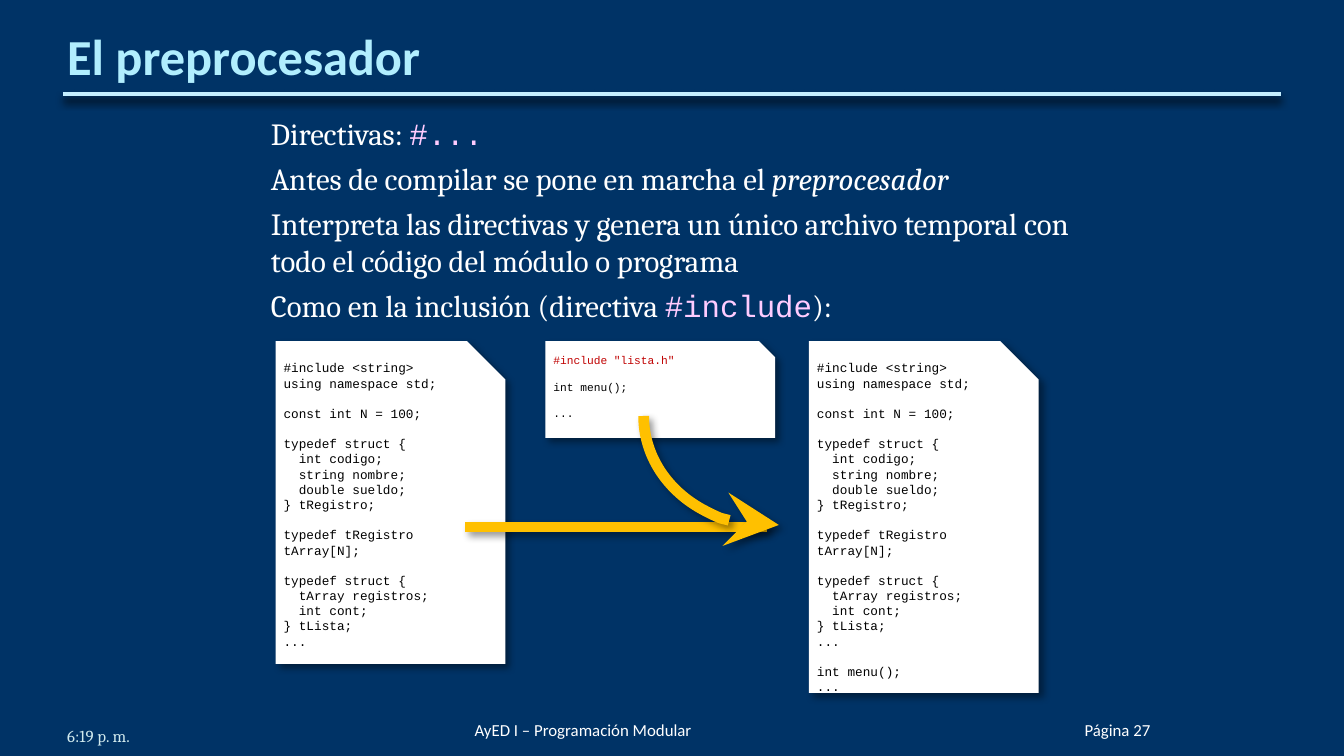
import pptx
import pptx.util
import pptx.dml.color
import pptx.enum.shapes
import pptx.enum.text
import pptx.oxml
import pptx.oxml.ns

Cm, Pt = pptx.util.Cm, pptx.util.Pt
SHAPE = pptx.enum.shapes.MSO_SHAPE
ALIGN = pptx.enum.text.PP_ALIGN
ANCHOR = pptx.enum.text.MSO_ANCHOR

HUES = {
    "back": "003366", "rule": "C4EEFF", "title": "B1EEFE", "text": "FFFFFF",
    "code": "FFCCFF", "paper": "FFFFFF", "ink": "000000", "red": "C00000",
    "arrow": "FFC000", "time": "D0E9ED", "shade": "000000",
}

LIST = """#include <string>
using namespace std;

const int N = 100;

typedef struct {
  int codigo;
  string nombre;
  double sueldo;
} tRegistro;

typedef tRegistro tArray[N];

typedef struct {
  tArray registros;
  int cont;
} tLista;
..."""
MENU = """int menu();
..."""
MAIN = """#include "lista.h"

int menu();

..."""

BODY = [
    [("Directivas: ", "text"), ("#...", "code")],
    [("Antes de compilar se pone en marcha el ", "text"), ("preprocesador", "italic")],
    [("Interpreta las directivas y genera un único archivo temporal con "
      "todo el código del módulo o programa", "text")],
    [("Como en la inclusión (directiva ", "text"), ("#include", "code"), ("):", "text")],
]


def hue(name):
    """Return the named colour."""
    return pptx.dml.color.RGBColor.from_string(HUES[name])


def style(font, face, size, name):
    """Set face, size and colour of a font."""
    font.name, font.size = face, Pt(size)
    font.color.rgb = hue(name)


def shade(item, alpha=40, blur=4, turn=45):
    """Give a finished shape or line an outer shadow."""
    item._element.spPr.append(pptx.oxml.parse_xml(
        f'<a:effectLst {pptx.oxml.ns.nsdecls("a")}>'
        f'<a:outerShdw blurRad="{Pt(blur)}" dist="{Pt(3)}" dir="{turn * 60000}" '
        f'algn="tl" rotWithShape="0"><a:srgbClr val="{HUES["shade"]}">'
        f'<a:alpha val="{alpha * 1000}"/></a:srgbClr></a:outerShdw></a:effectLst>'))


def inset(frame, side, top, foot):
    """Set wrapping and the margins of a text frame."""
    frame.word_wrap = True
    frame.margin_left = frame.margin_right = Cm(side)
    frame.margin_top, frame.margin_bottom = Cm(top), Cm(foot)


def rule(slide, x, y, end, name, width):
    """Draw a level line and return it."""
    line = slide.shapes.add_connector(
        pptx.enum.shapes.MSO_CONNECTOR.STRAIGHT, Cm(x), Cm(y), Cm(end), Cm(y))
    line.line.color.rgb, line.line.width = hue(name), Pt(width)
    return line


def label(slide, box, text, face, size, name, top=0, align=ALIGN.LEFT):
    """Write one line at the foot of its box and return its paragraph."""
    frame = slide.shapes.add_textbox(*map(Cm, box)).text_frame
    inset(frame, 0, top, 0)
    frame.vertical_anchor = ANCHOR.BOTTOM
    para = frame.paragraphs[0]
    para.text, para.alignment = text, align
    style(para.font, face, size, name)
    return para


def header(slide, x, y, wide):
    """Place the title with its rule."""
    para = label(slide, (x, y, wide, 1.04), "El preprocesador",
                 "Calibri", 27, "title", 0.13)
    para.font.bold = True
    line = rule(slide, x - 0.08, y + 1.2, x + wide + 0.08, "rule", 2.25)
    shade(line, 100, 4.5, 90)


def body(slide, box):
    """Write the indented body text."""
    frame = slide.shapes.add_textbox(*map(Cm, box)).text_frame
    inset(frame, 0.25, 0.13, 0.13)
    for i, parts in enumerate(BODY):
        para = frame.add_paragraph() if i else frame.paragraphs[0]
        para._p.get_or_add_pPr().set("marL", str(Cm(0.76)))
        para.space_before = Pt(4.5 if i else 0)
        for text, kind in parts:
            run = para.add_run()
            run.text = text
            code = kind == "code"
            style(run.font, "Courier New" if code else "Cambria", 16.5,
                  "code" if code else "text")
            if kind == "italic":
                run.font.italic = True


def page(slide, box, text, size=6.8, top=0, first="ink"):
    """Draw a sheet of code; an empty line becomes paragraph spacing."""
    sheet = slide.shapes.add_shape(SHAPE.SNIP_1_RECTANGLE, *map(Cm, box))
    sheet.fill.solid()
    sheet.fill.fore_color.rgb = hue("paper")
    sheet.line.fill.background()
    shade(sheet)
    frame = sheet.text_frame
    inset(frame, 0.15, top, top)
    frame.vertical_anchor = ANCHOR.TOP
    para, gap = None, 0
    for row in text.split("\n"):
        if not row:
            gap = size * 1.18
            continue
        name = "ink" if para else first
        para = frame.add_paragraph() if para else frame.paragraphs[0]
        para.text, para.alignment = row, ALIGN.LEFT
        para.space_before, gap = Pt(gap), 0
        style(para.font, "Courier New", size, name)


def merge(slide, x, y):
    """Draw the curved arrow that joins the level line."""
    arc = slide.shapes.add_shape(SHAPE.ARC, Cm(x), Cm(y), Cm(4.14), Cm(4.65))
    arc.adjustments[0], arc.adjustments[1] = 162, 3.82
    arc.rotation = 270
    arc._element.spPr.xfrm.set("flipH", "1")
    arc.fill.background()
    arc.line.color.rgb, arc.line.width = hue("arrow"), Pt(5.75)
    arc.line._get_or_add_ln().append(pptx.oxml.parse_xml(
        f'<a:tailEnd {pptx.oxml.ns.nsdecls("a")} type="stealth" w="lg" len="lg"/>'))
    shade(arc)


def files(slide, x, y):
    """Place the three sheets and the arrows between them."""
    wide = 4.34
    page(slide, (x, y, wide, 6.1), LIST)
    shade(rule(slide, x + 3.58, y + 3.51, x + 9.29, "arrow", 5.5))
    page(slide, (x + 5.1, y, wide, 1.83), MAIN, 6, 0.08, "red")
    page(slide, (x + 10.08, y, wide, 6.65), LIST + "\n\n" + MENU)
    merge(slide, x + 7.21, y - 0.91)


def footer(slide, y):
    """Write time, course and page number."""
    label(slide, (1.27, y + 0.11, 5.92, 0.76), "6:19 p. m.", "Cambria", 9, "time")
    label(slide, (8.97, y, 8.74, 0.76), "AyED I – Programación Modular",
          "Calibri", 9, "text")
    label(slide, (19.25, y, 2.49, 0.76), "Página 27", "Calibri", 9, "text",
          align=ALIGN.RIGHT)


def main():
    """Build and save the slide."""
    deck = pptx.Presentation()
    deck.slide_width, deck.slide_height = Cm(25.4), Cm(14.29)
    slide = deck.slides.add_slide(deck.slide_layouts[6])
    slide.background.fill.solid()
    slide.background.fill.fore_color.rgb = hue("back")
    header(slide, 1.27, 0.58, 22.86)
    body(slide, (4.11, 2.03, 17.42, 10.64))
    files(slide, 5.21, 6.45)
    footer(slide, 13.23)
    deck.save("out.pptx")


main()
